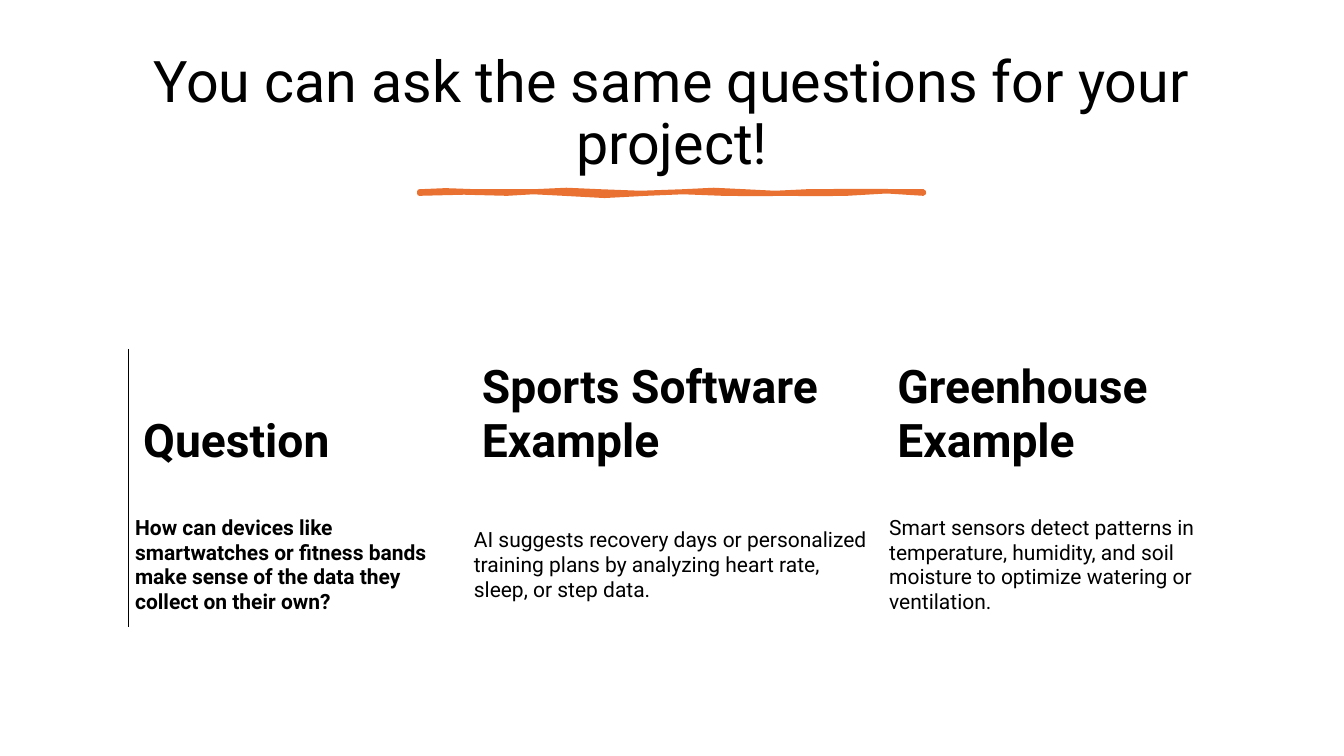
from lxml.etree import SubElement as Sub
from pptx import Presentation
from pptx.dml.color import RGBColor
from pptx.enum.text import MSO_ANCHOR as Anchor, MSO_AUTO_SIZE as Auto, PP_ALIGN as Align
from pptx.oxml.ns import qn
from pptx.util import Inches, Pt

BLACK = RGBColor(0x00, 0x00, 0x00)
ORANGE = RGBColor(0xE9, 0x71, 0x32)


def write(box, text, size, bold=False, align=Align.LEFT, space=1.0):
    para = box.text_frame.paragraphs[0]
    para.alignment = align
    para.line_spacing = space
    run = para.add_run()
    run.text = text
    font = run.font
    font.name = "Roboto"
    font.size = Pt(size)
    font.bold = bold
    font.color.rgb = BLACK


deck = Presentation()
deck.slide_width, deck.slide_height = Inches(13.33), Inches(7.5)
slide = deck.slides.add_slide(deck.slide_layouts[5])

title = slide.shapes.title
title.left, title.top = Inches(0.7), Inches(0.46)
title.width, title.height = Inches(11.93), Inches(1.37)
title.text_frame.word_wrap = True
title.text_frame.auto_size = Auto.NONE
title.text_frame.vertical_anchor = Anchor.MIDDLE
write(title, "You can ask the same questions for your project!", 41,
      align=Align.CENTER, space=0.9)

START = (4.16, 1.9)
CURVES = [
    (4.28, 1.87, 4.54, 1.9, 4.73, 1.9),
    (4.92, 1.89, 5.09, 1.91, 5.29, 1.9),
    (5.49, 1.88, 5.74, 1.88, 5.96, 1.9),
    (6.17, 1.92, 6.53, 1.92, 6.77, 1.9),
    (7.02, 1.88, 7.14, 1.88, 7.39, 1.9),
    (7.63, 1.91, 7.74, 1.93, 8, 1.9),
    (8.26, 1.87, 8.67, 1.92, 9.16, 1.9),
    (9.17, 1.91, 9.16, 1.91, 9.16, 1.92),
    (8.95, 1.9, 8.65, 1.88, 8.4, 1.92),
    (8.15, 1.95, 8.01, 1.9, 7.79, 1.92),
    (7.56, 1.93, 7.47, 1.92, 7.17, 1.92),
    (6.87, 1.92, 6.67, 1.88, 6.41, 1.92),
    (6.14, 1.95, 5.85, 1.95, 5.59, 1.92),
    (5.34, 1.88, 5.23, 1.92, 5.03, 1.92),
    (4.83, 1.91, 4.38, 1.9, 4.16, 1.92),
]
STEPS = 2
UNITS = 1000
dots = [(START[0] * UNITS, START[1] * UNITS)]
x0, y0 = START
for x1, y1, x2, y2, x3, y3 in CURVES:
    for step in range(1, STEPS + 1):
        t = step / STEPS
        u = 1 - t
        a, b, c, d = u**3, 3 * u * u * t, 3 * u * t * t, t**3
        dots.append(((a * x0 + b * x1 + c * x2 + d * x3) * UNITS,
                     (a * y0 + b * y1 + c * y2 + d * y3) * UNITS))
    x0, y0 = x3, y3
pen = slide.shapes.build_freeform(*dots[0], scale=Inches(1) / UNITS)
pen.add_line_segments(dots[1:], close=True)
stroke = pen.convert_to_shape()
stroke.shadow.inherit = False
stroke.fill.solid()
stroke.fill.fore_color.rgb = ORANGE
stroke.line.color.rgb = ORANGE
stroke.line.width = Pt(3.25)

COLS = [3.36, 4.12, 3.3]
ROWS = [1.51, 1.25]
HEAD = dict(size=33, anchor=Anchor.BOTTOM, pad=(0.15, 0.04, 0.23, 0.32))
BODY = dict(size=15, anchor=Anchor.MIDDLE, pad=(0.07, 0.11, 0.06, 0.08))
TEXTS = [
    ["Question", "Sports Software Example", "Greenhouse Example"],
    ["How can devices like smartwatches or fitness bands make sense of the data they collect on their own?",
     "AI suggests recovery days or personalized training plans by analyzing heart rate, sleep, or step data.",
     "Smart sensors detect patterns in temperature, humidity, and soil moisture to optimize watering or ventilation."],
]
table = slide.shapes.add_table(
    len(ROWS), len(COLS), Inches(1.27), Inches(3.46),
    Inches(sum(COLS)), Inches(sum(ROWS))).table
table.first_row = table.horz_banding = False
for col, width in zip(table.columns, COLS):
    col.width = Inches(width)
for row, height in zip(table.rows, ROWS):
    row.height = Inches(height)

for r, (texts, style) in enumerate(zip(TEXTS, (HEAD, BODY))):
    for c, text in enumerate(texts):
        cell = table.cell(r, c)
        cell.vertical_anchor = style["anchor"]
        (cell.margin_left, cell.margin_top,
         cell.margin_right, cell.margin_bottom) = map(Inches, style["pad"])
        write(cell, text, style["size"], bold=r == 0 or c == 0)
        props = cell._tc.get_or_add_tcPr()
        for side in ("a:lnL", "a:lnR", "a:lnT", "a:lnB"):
            edge = Sub(props, qn(side), w=str(Pt(0.75)))
            if c == 0 and side == "a:lnL":
                Sub(Sub(edge, qn("a:solidFill")), qn("a:srgbClr"), val=str(BLACK))
            else:
                Sub(edge, qn("a:noFill"))
        cell.fill.background()

deck.save("out.pptx")
